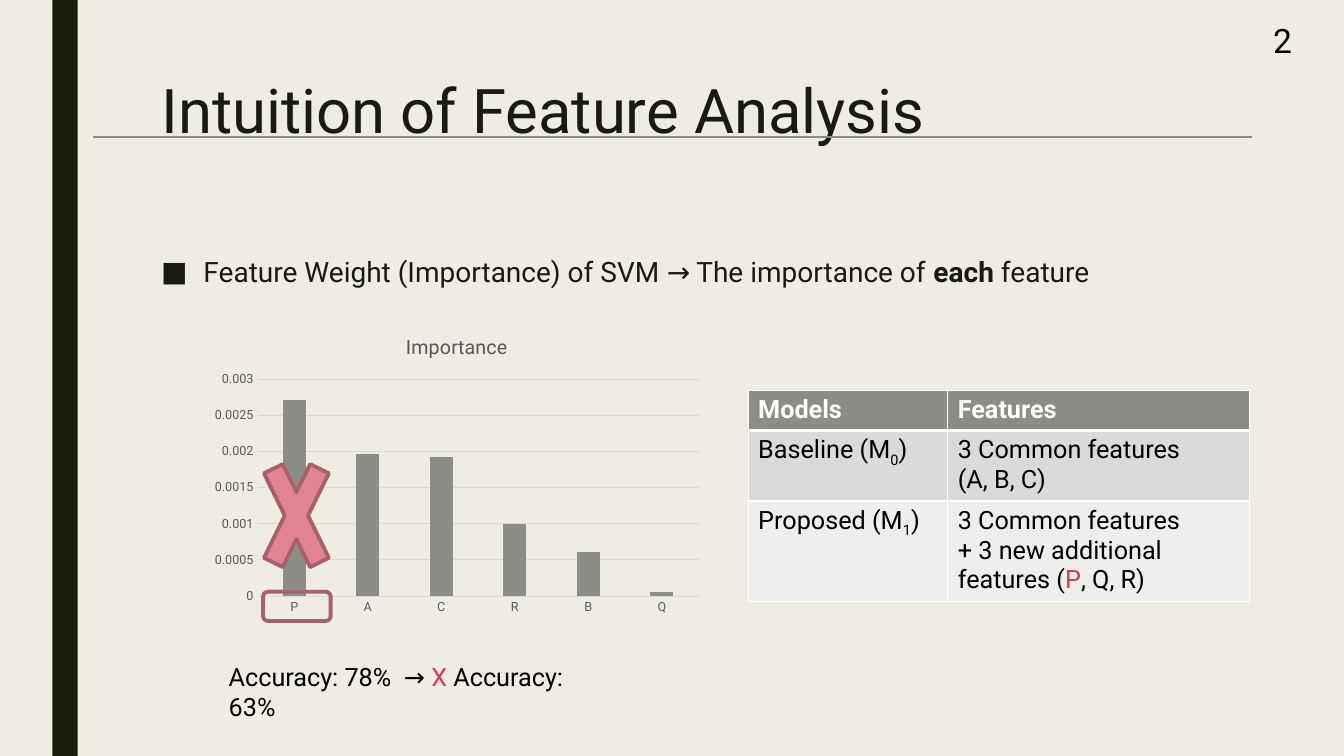
from dataclasses import dataclass

from lxml.etree import SubElement
from pptx import Presentation
from pptx.chart.data import CategoryChartData
from pptx.dml.color import RGBColor
from pptx.enum.chart import XL_CHART_TYPE as ChartType, XL_TICK_MARK as Tick
from pptx.enum.shapes import MSO_CONNECTOR as Connector, MSO_SHAPE as Shape
from pptx.enum.text import MSO_ANCHOR as Anchor
from pptx.oxml.ns import qn
from pptx.util import Inches, Pt

FONT = "Roboto"
PAPER, INK, GRAY, RED = "EFEDE3", "191B0E", "8C8D86", "D13B56"
BLACK, WHITE, AXIS_TEXT, GRID = "000000", "FFFFFF", "595959", "D9D9D9"
PINK, ROSE = "E28394", "A7616D"


@dataclass(frozen=True)
class Run:
    text: str
    color: str = BLACK
    bold: bool = False
    subscript: bool = False


@dataclass(frozen=True)
class Mark:
    kind: Shape
    box: tuple[float, float, float, float]
    fill: str | None = None
    line: str | None = None


Lines = list[list[Run]]

SIDE_BAR = Mark(Shape.RECTANGLE, (0.52, 0, 0.25, 7.5), fill=INK)
FEATURE_MARKS = [
    Mark(Shape.MATH_MULTIPLY, (2.5, 4.22, 0.88, 1.79), PINK, ROSE),
    Mark(Shape.ROUNDED_RECTANGLE, (2.61, 5.87, 0.67, 0.29), line=ROSE),
]

IMPORTANCE = {"P": 0.00271, "A": 0.00196, "C": 0.00193,
              "R": 0.001, "B": 0.00061, "Q": 0.00005}

COLUMN_WIDTHS = (1.98, 2.99)
ROW_HEIGHTS = (0.4, 0.7, 1.0)
ROW_FILLS = (GRAY, "DADBD9", "EEEEED")
MODEL_ROWS: list[list[Lines]] = [
    [[[Run("Models", WHITE, bold=True)]], [[Run("Features", WHITE, bold=True)]]],
    [[[Run("Baseline (M"), Run("0", subscript=True), Run(")")]],
     [[Run("3 Common features")], [Run("(A, B, C)")]]],
    [[[Run("Proposed (M"), Run("1", subscript=True), Run(")")]],
     [[Run("3 Common features")],
      [Run("+ 3 new additional features ("), Run("P", RED), Run(", Q, R)")]]],
]


def rgb(value: str) -> RGBColor:
    return RGBColor.from_string(value)


def style(font, size: float, color: str, bold: bool = False) -> None:
    font.name, font.size, font.bold = FONT, Pt(size), bold
    font.color.rgb = rgb(color)


def write(tf, lines: Lines, size: float) -> None:
    for i, line in enumerate(lines):
        p = tf.paragraphs[0] if i == 0 else tf.add_paragraph()
        for item in line:
            r = p.add_run()
            r.text = item.text
            style(r.font, size, item.color, item.bold)
            if item.subscript:
                r._r.get_or_add_rPr().set("baseline", "-25000")


def add_text(s, box: tuple, lines: Lines, size: float):
    tf = s.shapes.add_textbox(*map(Inches, box)).text_frame
    tf.word_wrap = True
    write(tf, lines, size)
    return tf


def add_mark(s, mark: Mark) -> None:
    sp = s.shapes.add_shape(mark.kind, *map(Inches, mark.box))
    sp.shadow.inherit = False
    if mark.fill:
        sp.fill.solid()
        sp.fill.fore_color.rgb = rgb(mark.fill)
    else:
        sp.fill.background()
    if mark.line:
        sp.line.color.rgb = rgb(mark.line)
        sp.line.width = Pt(2.75)
    else:
        sp.line.fill.background()


def add_title(s) -> None:
    title = s.shapes.title
    title.left, title.top, title.width, title.height = map(Inches, (1.5, 0.75, 10.5, 1.62))
    tf = title.text_frame
    tf.text = "Intuition of Feature Analysis"
    tf.vertical_anchor = Anchor.TOP
    p = tf.paragraphs[0]
    p.alignment = 1
    p.line_spacing = 0.89
    style(p.runs[0].font, 44, INK)

    rule = s.shapes.add_connector(Connector.STRAIGHT, *map(Inches, (0.92, 1.36, 12.42, 1.36)))
    rule.line.color.rgb = rgb(GRAY)
    rule.line.width = Pt(2)
    SubElement(rule._element.spPr, qn("a:effectLst"))


def add_bullet(s) -> None:
    line = [Run("Feature Weight (Importance) of SVM → The importance of ", INK),
            Run("each", INK, bold=True), Run(" feature", INK)]
    p = add_text(s, (1.5, 2.5, 10.5, 0.6), [line], 20).paragraphs[0]
    p.line_spacing = 0.94
    p.space_after = Pt(2)
    pPr = p._p.get_or_add_pPr()
    pPr.set("marL", str(Inches(0.42)))
    pPr.set("indent", str(-Inches(0.42)))
    SubElement(pPr, qn("a:buFont"), typeface=FONT)
    SubElement(pPr, qn("a:buChar"), char="■")


def add_importance_chart(s) -> None:
    data = CategoryChartData()
    data.categories = list(IMPORTANCE)
    data.add_series("Importance", IMPORTANCE.values())
    box = map(Inches, (2.03, 3.16, 5, 3))
    chart = s.shapes.add_chart(ChartType.COLUMN_CLUSTERED, *box, data).chart
    style(chart.font, 10, BLACK)
    chart.has_legend = False
    chart.has_title = True
    tf = chart.chart_title.text_frame
    tf.text = "Importance"
    style(tf.paragraphs[0].runs[0].font, 14, AXIS_TEXT)

    plot = chart.plots[0]
    plot.gap_width, plot.overlap, plot.vary_by_categories = 219, -27, False
    fill = plot.series[0].format.fill
    fill.solid()
    fill.fore_color.rgb = rgb(GRAY)

    values, categories = chart.value_axis, chart.category_axis
    values.minimum_scale, values.maximum_scale, values.major_unit = 0, 0.003, 0.0005
    for axis in (values, categories):
        axis.major_tick_mark = axis.minor_tick_mark = Tick.NONE
        style(axis.tick_labels.font, 9, AXIS_TEXT)
    values.format.line.fill.background()
    for line in (values.major_gridlines.format.line, categories.format.line):
        line.color.rgb = rgb(GRID)
        line.width = Pt(0.75)


def add_border(cell, edge: str, width: float) -> None:
    ln = SubElement(cell._tc.get_or_add_tcPr(), qn(f"a:ln{edge}"), w=str(Pt(width)))
    SubElement(SubElement(ln, qn("a:solidFill")), qn("a:srgbClr"), val=WHITE)


def add_model_table(s) -> None:
    box = (7.42, 3.87, sum(COLUMN_WIDTHS), sum(ROW_HEIGHTS))
    table = s.shapes.add_table(len(ROW_HEIGHTS), len(COLUMN_WIDTHS), *map(Inches, box)).table
    for column, width in zip(table.columns, COLUMN_WIDTHS):
        column.width = Inches(width)
    for i, (height, fill, row) in enumerate(zip(ROW_HEIGHTS, ROW_FILLS, MODEL_ROWS)):
        table.rows[i].height = Inches(height)
        for j, lines in enumerate(row):
            cell = table.cell(i, j)
            write(cell.text_frame, lines, 18)
            for edge in "LRTB":
                under_header = (i, edge) in ((0, "B"), (1, "T"))
                add_border(cell, edge, 3 if under_header else 1)
            cell.fill.solid()
            cell.fill.fore_color.rgb = rgb(fill)


def main() -> None:
    prs = Presentation()
    prs.slide_width, prs.slide_height = Inches(13.33), Inches(7.5)
    s = prs.slides.add_slide(prs.slide_layouts[5])
    s.background.fill.solid()
    s.background.fill.fore_color.rgb = rgb(PAPER)

    add_mark(s, SIDE_BAR)
    add_text(s, (12.53, 0.2, 0.6, 0.4), [[Run("2")]], 24).vertical_anchor = Anchor.MIDDLE
    add_title(s)
    add_bullet(s)
    add_model_table(s)
    add_importance_chart(s)
    accuracy = [Run("Accuracy: 78%  → "), Run("X", RED), Run(" Accuracy: 63%")]
    add_text(s, (2.17, 6.51, 3.92, 0.4), [accuracy], 18)
    for mark in FEATURE_MARKS:
        add_mark(s, mark)
    prs.save("out.pptx")


if __name__ == "__main__":
    main()
